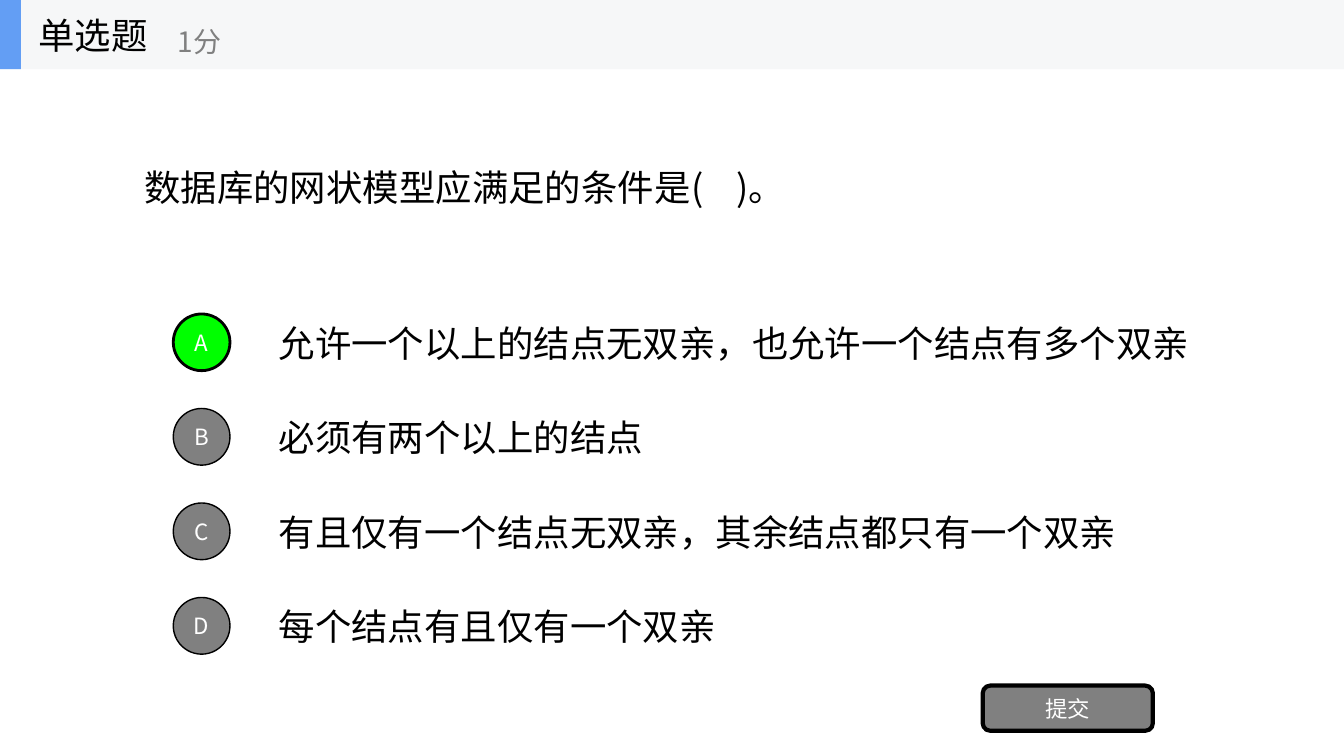
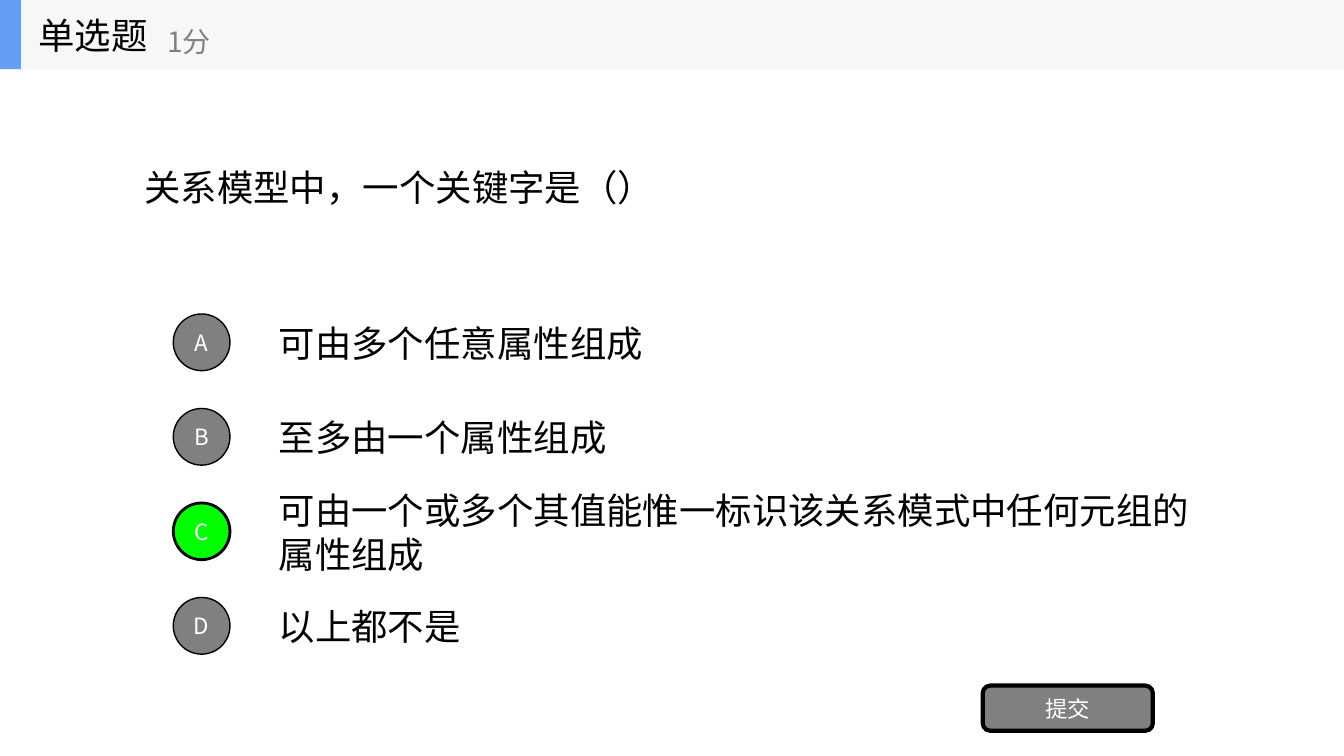
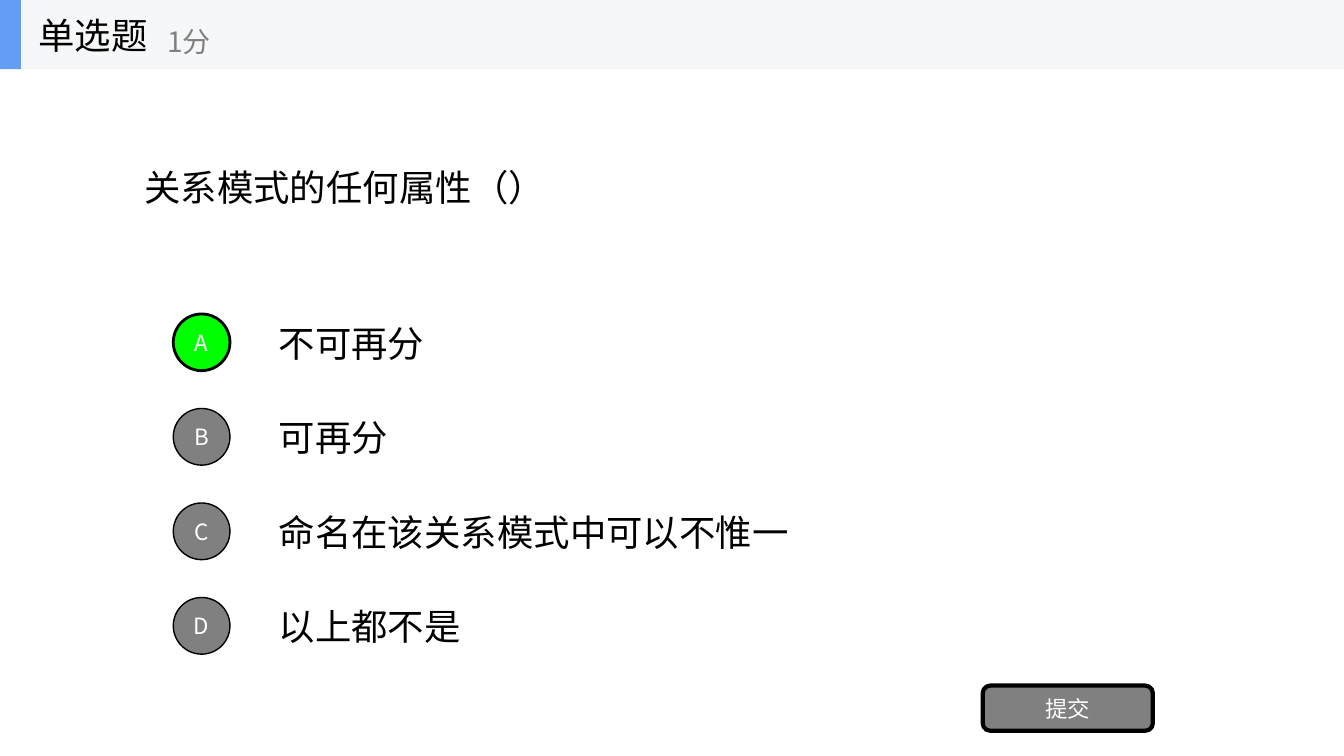
import pptx
import pptx.dml.color
import pptx.enum.shapes
import pptx.enum.text
import pptx.oxml
import pptx.oxml.ns
import pptx.util
import lxml.etree

EMU_PER_PX = 9525
SLIDE_WIDTH, SLIDE_HEIGHT = 1280, 720
HEADER_HEIGHT = 66
FONT = "Noto Sans CJK SC"
BLACK, WHITE, GRAY = "000000", "FFFFFF", "808080"
GREEN, BLUE, PALE = "00FF00", "639EF4", "F6F7F8"
BODY_SIZE, SCORE_SIZE, BUTTON_SIZE = 26, 20, 16
SHAPES = pptx.enum.shapes.MSO_SHAPE
ALIGN = pptx.enum.text.PP_ALIGN

QUESTIONS = [
    {
        "question": "数据库的网状模型应满足的条件是(    )。",
        "options": [
            "允许一个以上的结点无双亲，也允许一个结点有多个双亲",
            "必须有两个以上的结点",
            "有且仅有一个结点无双亲，其余结点都只有一个双亲",
            "每个结点有且仅有一个双亲",
        ],
        "answer": "A",
        "score_left": 160,
    },
    {
        "question": "关系模型中，一个关键字是（）",
        "options": [
            "可由多个任意属性组成",
            "至多由一个属性组成",
            "可由一个或多个其值能惟一标识该关系模式中任何元组的属性组成",
            "以上都不是",
        ],
        "answer": "C",
        "score_left": 150,
    },
    {
        "question": "关系模式的任何属性（）",
        "options": [
            "不可再分",
            "可再分",
            "命名在该关系模式中可以不惟一",
            "以上都不是",
        ],
        "answer": "A",
        "score_left": 150,
    },
]


def px(*lengths):
    return [pptx.util.Emu(length * EMU_PER_PX) for length in lengths]


def color(value):
    return pptx.dml.color.RGBColor.from_string(value)


def write_text(shape, text, size, text_color, alignment):
    frame = shape.text_frame
    frame.word_wrap = True
    frame.vertical_anchor = pptx.enum.text.MSO_ANCHOR.MIDDLE
    paragraph = frame.paragraphs[0]
    paragraph.text = text
    paragraph.alignment = alignment
    paragraph.font.size = pptx.util.Pt(size)
    paragraph.font.name = FONT
    paragraph.font.color.rgb = color(text_color)
    qn = pptx.oxml.ns.qn
    properties = paragraph._p.get_or_add_pPr().find(qn("a:defRPr"))
    lxml.etree.SubElement(properties, qn("a:ea"), typeface=FONT)


def add_text(shapes, box, text, size=BODY_SIZE, text_color=BLACK):
    write_text(shapes.add_textbox(*px(*box)), text, size, text_color, ALIGN.LEFT)


def add_block(shapes, kind, box, fill, line_width=0):
    shape = shapes.add_shape(kind, *px(*box))
    shape.shadow.inherit = False
    shape.fill.solid()
    shape.fill.fore_color.rgb = color(fill)
    if line_width:
        shape.line.color.rgb = color(BLACK)
        shape.line.width = pptx.util.Pt(line_width)
    else:
        shape.line.fill.background()
    return shape


def add_button(shapes, kind, box, label, fill, line_width):
    shape = add_block(shapes, kind, box, fill, line_width)
    frame = shape.text_frame
    frame.margin_left = frame.margin_right = 0
    frame.margin_top = frame.margin_bottom = 0
    write_text(shape, label, BUTTON_SIZE, WHITE, ALIGN.CENTER)


def add_options(shapes, box, options, answer):
    left, top, width, height = box
    row_step, row_height, circle, text_offset = 90, 67, 54, 91
    for index, (letter, option) in enumerate(zip("ABCD", options)):
        row_top = top + index * row_step
        add_text(shapes, (left + text_offset, row_top, width - text_offset, row_height), option)
    for index, letter in enumerate("ABCD"):
        circle_top = top + index * row_step + (row_height - circle) // 2
        fill, line_width = (GREEN, 2) if letter == answer else (GRAY, 1)
        add_button(shapes, SHAPES.OVAL, (left, circle_top, circle, circle), letter, fill, line_width)


def add_header(slide, box, score_left):
    left, top, width, height = box
    shapes = slide.shapes.add_group_shape().shapes
    add_block(shapes, SHAPES.RECTANGLE, box, PALE)
    add_block(shapes, SHAPES.RECTANGLE, (left, top, 20, height), BLUE)
    add_text(shapes, (left + 27, top, 200, height), "单选题")
    add_text(shapes, (left + score_left, top + 12, 240, height - 12), "1分", SCORE_SIZE, GRAY)


def add_question_slide(presentation, question, options, answer, score_left):
    slide = presentation.slides.add_slide(presentation.slide_layouts[6])
    add_text(slide.shapes, (128, HEADER_HEIGHT, 1024, 225), question)
    add_options(slide.shapes, (165, 293, 987, 337), options, answer)
    add_button(slide.shapes, SHAPES.ROUNDED_RECTANGLE, (936, 653, 162, 43), "提交", GRAY, 3)
    add_header(slide, (0, 0, SLIDE_WIDTH, HEADER_HEIGHT), score_left)


def main():
    presentation = pptx.Presentation()
    presentation.slide_width, presentation.slide_height = px(SLIDE_WIDTH, SLIDE_HEIGHT)
    for question in QUESTIONS:
        add_question_slide(presentation, **question)
    presentation.save("out.pptx")


if __name__ == "__main__":
    main()
